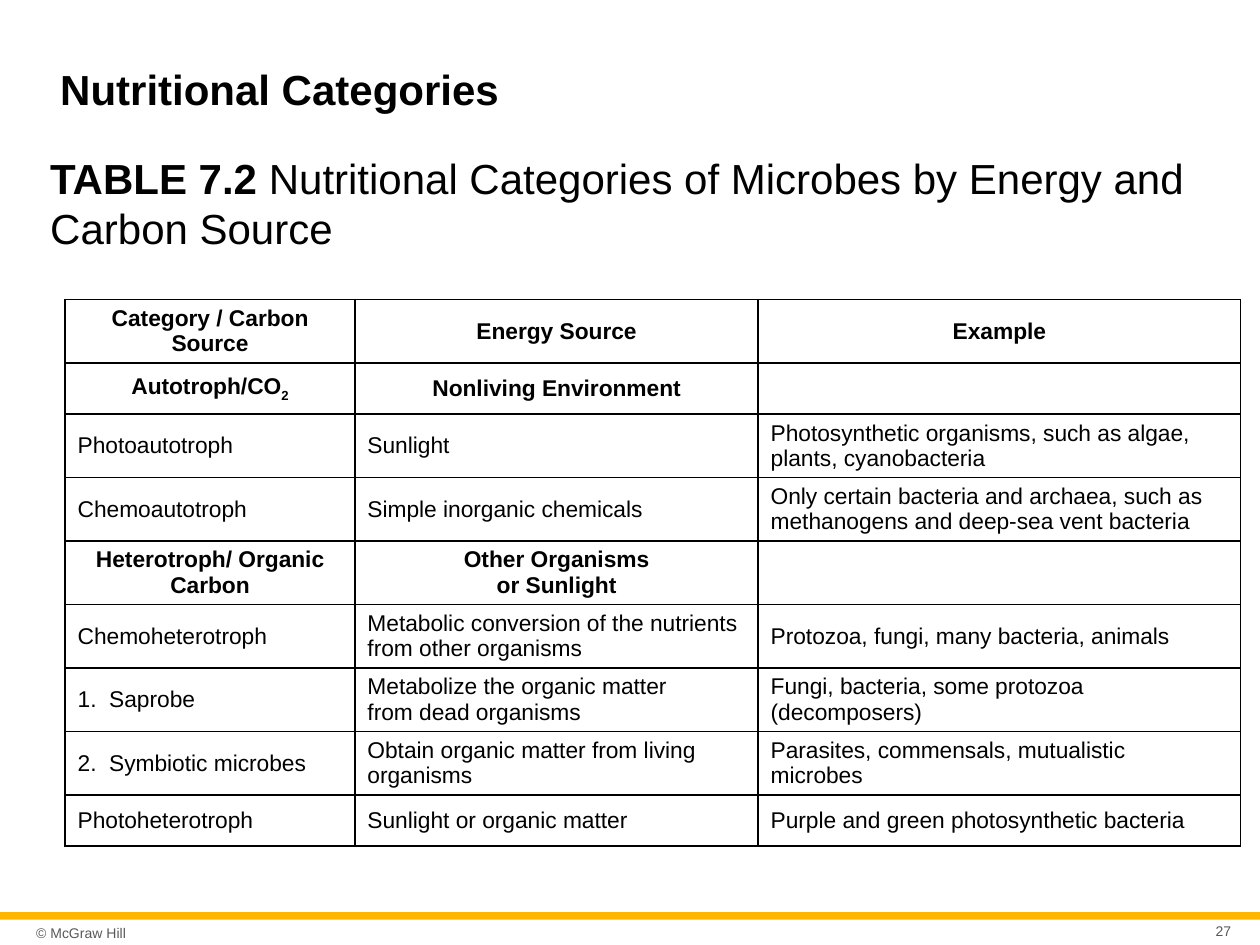
from lxml.etree import SubElement
from pptx import Presentation
from pptx.dml.color import RGBColor
from pptx.enum.shapes import MSO_SHAPE
from pptx.enum.text import MSO_ANCHOR, PP_ALIGN
from pptx.oxml.ns import qn
from pptx.util import Pt

COLORS = {"text": "000000", "footer": "595959", "bar": "FFB600", "border": "000000"}


def add_run(p, text, size, bold=False, color="text"):
    r = p.add_run()
    r.text = text
    r.font.name = "Arial"
    r.font.size = Pt(size)
    r.font.bold = bold
    r.font.color.rgb = RGBColor.from_string(COLORS[color])
    return r


def add_borders(cell):
    tc_pr = cell._tc.get_or_add_tcPr()
    for side in ("lnL", "lnR", "lnT", "lnB"):
        ln = SubElement(tc_pr, qn(f"a:{side}"), w=str(Pt(1)))
        fill = SubElement(ln, qn("a:solidFill"))
        SubElement(fill, qn("a:srgbClr"), val=COLORS["border"])


prs = Presentation()
prs.slide_width, prs.slide_height = Pt(720), Pt(540)
s = prs.slides.add_slide(prs.slide_layouts[5])

# Footer
bar = s.shapes.add_shape(MSO_SHAPE.RECTANGLE, 0, Pt(521.3), Pt(720), Pt(4.3))
bar.shadow.inherit = False
bar.fill.solid()
bar.fill.fore_color.rgb = RGBColor.from_string(COLORS["bar"])
bar.line.fill.background()

footers = [
    ("© McGraw Hill", 17, 524.5, 97.2, 17.3, PP_ALIGN.LEFT),
    ("27", 679.2, 525.2, 28, 13, PP_ALIGN.RIGHT),
]
for text, left, top, width, height, align in footers:
    tf = s.shapes.add_textbox(Pt(left), Pt(top), Pt(width), Pt(height)).text_frame
    tf.word_wrap = True
    tf.vertical_anchor = MSO_ANCHOR.MIDDLE
    tf.margin_left = tf.margin_right = tf.margin_top = tf.margin_bottom = Pt(3.6)
    tf.paragraphs[0].alignment = align
    add_run(tf.paragraphs[0], text, 8, color="footer")

# Title and table caption
title = s.shapes.title
title.left, title.top, title.width, title.height = Pt(27.2), Pt(23.8), Pt(666), Pt(53.3)
tf = title.text_frame
tf.vertical_anchor = MSO_ANCHOR.MIDDLE
tf.paragraphs[0].alignment = PP_ALIGN.LEFT
add_run(tf.paragraphs[0], "Nutritional Categories", 24, bold=True)

tf = s.shapes.add_textbox(Pt(21.6), Pt(83.5), Pt(666), Pt(62.6)).text_frame
tf.word_wrap = True
p = tf.paragraphs[0]
add_run(p, "TABLE 7.2 ", 24, bold=True)
add_run(p, "Nutritional Categories of Microbes by Energy and Carbon Source", 24)

# Table: a line break in a cell starts a new paragraph
rows = [
    ("Category / Carbon Source", "Energy Source", "Example"),
    ("Autotroph/CO2", "Nonliving Environment", ""),
    ("Photoautotroph", "Sunlight",
     "Photosynthetic organisms, such as algae, plants, cyanobacteria"),
    ("Chemoautotroph", "Simple inorganic chemicals",
     "Only certain bacteria and archaea, such as methanogens and deep-sea vent bacteria"),
    ("Heterotroph/ Organic Carbon", "Other Organisms\nor Sunlight", ""),
    ("Chemoheterotroph", "Metabolic conversion of the nutrients from other organisms",
     "Protozoa, fungi, many bacteria, animals"),
    ("Saprobe", "Metabolize the organic matter\nfrom dead organisms",
     "Fungi, bacteria, some protozoa (decomposers)"),
    ("Symbiotic microbes", "Obtain organic matter from living organisms",
     "Parasites, commensals, mutualistic\nmicrobes"),
    ("Photoheterotroph", "Sunlight or organic matter",
     "Purple and green photosynthetic bacteria"),
]
heading_rows = {0, 1, 4}
numbers = {"Saprobe": 1, "Symbiotic microbes": 2}
col_widths = [165.6, 230.4, 275.8]
row_height = 29.2

table = s.shapes.add_table(len(rows), len(col_widths), Pt(37.2), Pt(171.2),
                           Pt(sum(col_widths)), Pt(row_height * len(rows))).table
table.first_row = table.horz_banding = False
for column, width in zip(table.columns, col_widths):
    column.width = Pt(width)

for i, row in enumerate(rows):
    table.rows[i].height = Pt(row_height)
    heading = i in heading_rows
    for j, text in enumerate(row):
        cell = table.cell(i, j)
        cell.vertical_anchor = MSO_ANCHOR.MIDDLE
        cell.margin_top = cell.margin_bottom = Pt(2.5)
        add_borders(cell)
        cell.fill.background()
        tf = cell.text_frame
        for k, line in enumerate(text.split("\n") if text else []):
            p = tf.paragraphs[0] if k == 0 else tf.add_paragraph()
            p.alignment = PP_ALIGN.CENTER if heading else PP_ALIGN.LEFT
            if line in numbers:
                p_pr = p._p.get_or_add_pPr()
                p_pr.set("marL", str(Pt(18)))
                p_pr.set("indent", str(-Pt(18)))
                SubElement(p_pr, qn("a:buFont"), typeface="+mj-lt")
                SubElement(p_pr, qn("a:buAutoNum"), type="arabicPeriod",
                           startAt=str(numbers[line]))
            base, co2, subscript = line.partition("CO2")
            add_run(p, base + co2[:2], 13, bold=heading)
            if co2:
                r = add_run(p, "2", 13, bold=heading)
                r.font._element.set("baseline", "-25000")

prs.save("out.pptx")
